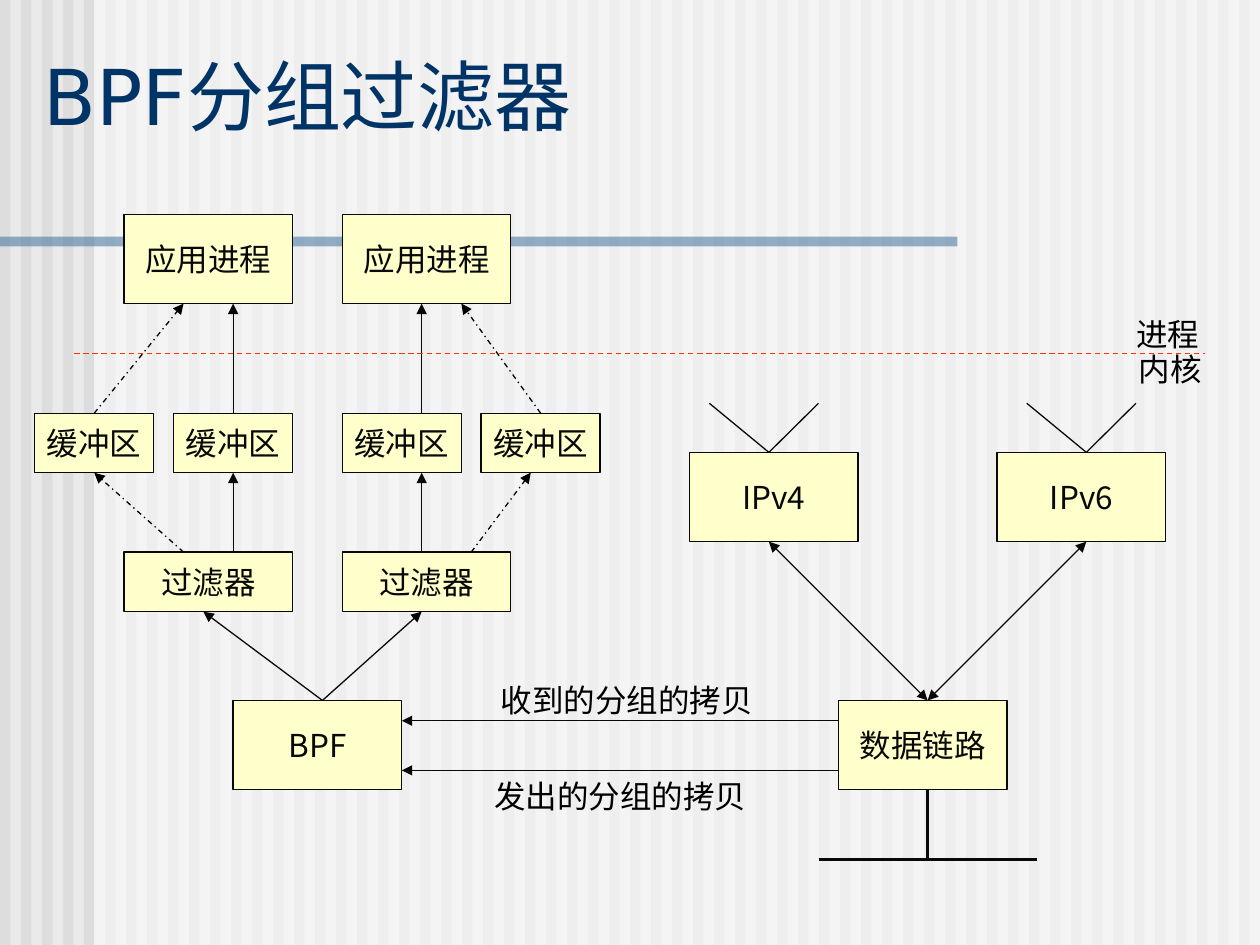
"""Builds the slide that shows how the BPF packet filter works."""
from lxml.etree import SubElement
from pptx import Presentation
from pptx.dml.color import RGBColor
from pptx.enum.dml import MSO_LINE_DASH_STYLE as Dash
from pptx.enum.shapes import MSO_CONNECTOR, MSO_SHAPE
from pptx.enum.text import MSO_ANCHOR as Anchor, MSO_AUTO_SIZE as AutoSize, PP_ALIGN as Align
from pptx.oxml.ns import qn
from pptx.util import Cm, Pt

BACKGROUND = RGBColor(0xEA, 0xEA, 0xEA)
STRIPE = RGBColor(0xDD, 0xDD, 0xDD)
WHITE = RGBColor(0xFF, 0xFF, 0xFF)
BAR = RGBColor(0x33, 0x66, 0x99)
NAVY = RGBColor(0x00, 0x33, 0x66)
CREAM = RGBColor(0xFF, 0xFF, 0xCC)
INK = RGBColor(0x08, 0x08, 0x08)
BLACK = RGBColor(0x00, 0x00, 0x00)
RED = RGBColor(0xFF, 0x33, 0x00)
CHINESE_FONT = "Noto Sans CJK JP"
TOP, BOTTOM = 0, 2


def write(shape, text, size=18, font=CHINESE_FONT, color=INK, align=Align.LEFT,
          anchor=Anchor.TOP, wrap=False, fit=AutoSize.NONE):
    frame = shape.text_frame
    frame.word_wrap = wrap
    frame.auto_size = fit
    frame.vertical_anchor = anchor
    para = frame.paragraphs[0]
    para.alignment = align
    span = para.add_run()
    span.text = text
    span.font.size = Pt(size)
    span.font.name = font
    span.font.color.rgb = color
    SubElement(span.font._element, qn("a:ea"), typeface=CHINESE_FONT)


def draw_line(start, end, color=INK, width=0.75, dash=None, arrows=()):
    line = shapes.add_connector(MSO_CONNECTOR.STRAIGHT, 0, 0, 0, 0)
    if hasattr(start[0], "shape_id"):
        line.begin_connect(*start)
    else:
        line.begin_x, line.begin_y = Cm(start[0]), Cm(start[1])
    if hasattr(end[0], "shape_id"):
        line.end_connect(*end)
    else:
        line.end_x, line.end_y = Cm(end[0]), Cm(end[1])
    line.line.color.rgb = color
    line.line.width = Pt(width)
    if dash:
        line.line.dash_style = dash
    for arrow in arrows:
        SubElement(line.line._get_or_add_ln(), qn(f"a:{arrow}"), type="triangle")
    SubElement(line._element.spPr, qn("a:effectLst"))


deck = Presentation()
deck.slide_width, deck.slide_height = Cm(25.4), Cm(19.05)
master = deck.slide_master
slide = deck.slides.add_slide(deck.slide_layouts[5])
shapes = slide.shapes
master.background.fill.solid()
master.background.fill.fore_color.rgb = BACKGROUND

stripe_step = 25.4 / 60
backdrop = [(i * stripe_step, 0, stripe_step / 2, 19.05, STRIPE, 100) for i in range(60)]
backdrop += [(1.9, 0, 23.5, 19.05, WHITE, 50), (0, 4.77, 19.3, 0.2, BAR, 50)]
for order, (left, top, width, height, color, opacity) in enumerate(backdrop):
    panel = shapes.add_shape(MSO_SHAPE.RECTANGLE, Cm(left), Cm(top), Cm(width), Cm(height))
    panel.shadow.inherit = False
    panel.fill.solid()
    panel.fill.fore_color.rgb = color
    panel.line.fill.background()
    if opacity < 100:
        tint = panel._element.spPr.find(qn("a:solidFill"))[0]
        SubElement(tint, qn("a:alpha"), val=str(opacity * 1000))
    panel._element.nvSpPr.cNvPr.id = 100 + order
    master.shapes.element.insert(2 + order, panel._element)

title = shapes.title
title.left, title.top, title.width, title.height = Cm(0.62), Cm(0.84), Cm(20.75), Cm(2.13)
write(title, "BPF分组过滤器", size=44, font="DejaVu Sans", color=NAVY,
      anchor=Anchor.BOTTOM, wrap=True)

LARGE, WIDE, SMALL = (3.4, 1.8), (3.4, 1.2), (2.4, 1.2)
boxes = {}
for name, text, left, top, size in [
    ("app 1", "应用进程", 2.5, 4.32, LARGE),
    ("app 2", "应用进程", 6.9, 4.32, LARGE),
    ("buffer 1", "缓冲区", 0.7, 8.33, SMALL),
    ("buffer 2", "缓冲区", 3.5, 8.33, SMALL),
    ("buffer 3", "缓冲区", 6.9, 8.33, SMALL),
    ("buffer 4", "缓冲区", 9.7, 8.33, SMALL),
    ("filter 1", "过滤器", 2.5, 11.13, WIDE),
    ("filter 2", "过滤器", 6.9, 11.13, WIDE),
    ("bpf", "BPF", 4.7, 14.12, LARGE),
    ("ipv4", "IPv4", 13.9, 9.12, LARGE),
    ("ipv6", "IPv6", 20.1, 9.12, LARGE),
    ("data link", "数据链路", 16.9, 14.12, LARGE),
]:
    box = shapes.add_shape(MSO_SHAPE.RECTANGLE, Cm(left), Cm(top), Cm(size[0]), Cm(size[1]))
    box.shadow.inherit = False
    box.fill.solid()
    box.fill.fore_color.rgb = CREAM
    box.line.color.rgb = INK
    box.line.width = Pt(0.75)
    write(box, text, align=Align.CENTER, anchor=Anchor.MIDDLE)
    boxes[name] = box

for start, end in [
    ((boxes["buffer 2"], TOP), (4.7, 6.12)),
    ((8.5, 8.33), (8.5, 6.12)),
    ((4.7, 11.13), (boxes["buffer 2"], BOTTOM)),
    ((8.5, 11.13), (8.5, 9.53)),
    ((6.5, 14.12), (4.1, 12.33)),
    ((6.5, 14.12), (8.5, 12.33)),
    ((16.9, 14.53), (8.1, 14.53)),
    ((16.9, 15.53), (8.1, 15.53)),
]:
    draw_line(start, end, arrows=["tailEnd"])

for start, end in [
    ((3.7, 11.13), (boxes["buffer 1"], BOTTOM)),
    ((boxes["buffer 1"], TOP), (3.7, 6.12)),
    ((9.5, 11.13), (10.7, 9.53)),
    ((boxes["buffer 4"], TOP), (9.3, 6.12)),
]:
    draw_line(start, end, color=BLACK, dash=Dash.DASH_DOT, arrows=["tailEnd"])

for middle, left, right in [(15.5, 14.3, 16.5), (21.9, 20.7, 22.9)]:
    draw_line((18.7, 14.12), (middle, 10.92), arrows=["headEnd", "tailEnd"])
    for tip in (left, right):
        draw_line((middle, 9.12), (tip, 8.13))

draw_line((18.7, 15.92), (18.7, 17.33), width=1.5)
draw_line((16.5, 17.33), (20.9, 17.33), width=1.5)
draw_line((1.5, 7.13), (24.3, 7.13), color=RED, dash=Dash.DASH)

for text, left, top, width in [
    ("收到的分组的拷贝", 9.85, 13.6, 5.59),
    ("发出的分组的拷贝", 9.71, 15.53, 5.59),
    ("进程", 22.66, 6.22, 1.78),
    ("内核", 22.71, 6.93, 1.78),
]:
    label = shapes.add_textbox(Cm(left), Cm(top), Cm(width), Cm(1.02))
    write(label, text, font="Arial", color=BLACK, fit=AutoSize.SHAPE_TO_FIT_TEXT)

deck.save("out.pptx")
